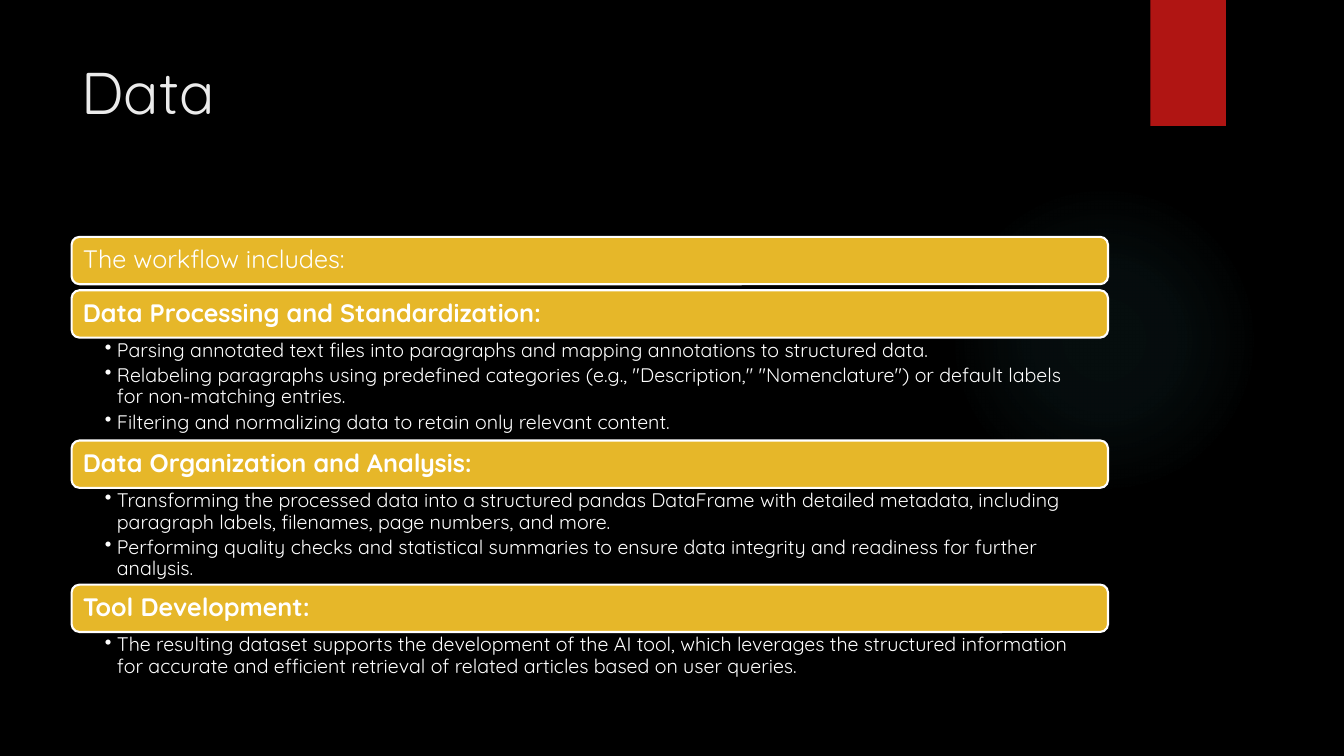
import dataclasses

import pptx
import pptx.dml.color
import pptx.enum.shapes
import pptx.enum.text
import pptx.oxml
import pptx.oxml.ns
import pptx.util
from pptx.util import Inches

RGBColor = pptx.dml.color.RGBColor
ANCHOR = pptx.enum.text.MSO_ANCHOR
SHAPE = pptx.enum.shapes.MSO_SHAPE

BLACK = RGBColor(0x00, 0x00, 0x00)
WHITE = RGBColor(0xFF, 0xFF, 0xFF)
TITLE_GREY = RGBColor(0xEB, 0xEB, 0xEB)
RED = RGBColor(0xB0, 0x15, 0x13)
GOLD = RGBColor(0xE6, 0xB7, 0x29)
TEAL = RGBColor(0x50, 0xB9, 0xC1)
FONT = "Quicksand"

LEFT, WIDTH = 0.71, 10.28
FIRST_TOP = 2.35
BAR_HEIGHT = 0.47
BODY_INSETS = (0.33, 0.03, 0.14, 0.03)
BAR_INSETS = (0.09, 0.07, 0.09, 0.07)
BULLET_INDENT = 0.12


@dataclasses.dataclass(frozen=True)
class Section:
    heading: str
    body_height: float
    bullets: tuple[str, ...] = ()
    bold: bool = True


SECTIONS = (
    Section("The workflow includes:", 0.06, bold=False),
    Section("Data Processing and Standardization:", 1.02, (
        "Parsing annotated text files into paragraphs and mapping annotations to structured data.",
        'Relabeling paragraphs using predefined categories (e.g., "Description," "Nomenclature") '
        "or default labels for non-matching entries.",
        "Filtering and normalizing data to retain only relevant content.",
    )),
    Section("Data Organization and Analysis:", 0.96, (
        "Transforming the processed data into a structured pandas DataFrame with detailed metadata, "
        "including paragraph labels, filenames, page numbers, and more.",
        "Performing quality checks and statistical summaries to ensure data integrity and readiness "
        "for further analysis.",
    )),
    Section("Tool Development:", 0.49, (
        "The resulting dataset supports the development of the AI tool, which leverages the "
        "structured information for accurate and efficient retrieval of related articles based on "
        "user queries.",
    )),
)


def add_bullet(paragraph) -> None:
    properties = paragraph._p.get_or_add_pPr()
    indent = Inches(BULLET_INDENT)
    properties.set("marL", str(indent))
    properties.set("indent", str(-indent))
    properties.append(pptx.oxml.parse_xml(
        f'<a:buChar {pptx.oxml.ns.nsdecls("a")} char="•"/>'))


def write_text(shape, *texts: str, size: float, color: RGBColor = WHITE, bold: bool = False,
               insets: tuple = (0.1, 0.05, 0.1, 0.05), anchor=ANCHOR.TOP,
               line_spacing: float = 0.9, space_after: float = 0, bulleted: bool = False) -> None:
    frame = shape.text_frame
    frame.word_wrap = True
    frame.auto_size = pptx.enum.text.MSO_AUTO_SIZE.NONE
    frame.vertical_anchor = anchor
    (frame.margin_left, frame.margin_top,
     frame.margin_right, frame.margin_bottom) = map(Inches, insets)
    for index, text in enumerate(texts):
        paragraph = frame.add_paragraph() if index else frame.paragraphs[0]
        paragraph.alignment = pptx.enum.text.PP_ALIGN.LEFT
        paragraph.line_spacing = line_spacing
        paragraph.space_after = pptx.util.Pt(space_after)
        if bulleted:
            add_bullet(paragraph)
        run = paragraph.add_run()
        run.text = text
        run.font.name = FONT
        run.font.size = pptx.util.Pt(size)
        run.font.bold = bold
        run.font.color.rgb = color


def add_block(slide, kind, left: float, top: float, width: float, height: float, fill: RGBColor):
    """Add a flat preset shape without outline."""
    shape = slide.shapes.add_shape(kind, *map(Inches, (left, top, width, height)))
    shape.shadow.inherit = False
    shape.fill.solid()
    shape.fill.fore_color.rgb = fill
    shape.line.fill.background()
    return shape


def add_glow(slide) -> None:
    glow = add_block(slide, SHAPE.OVAL, 9.41, 1.83, 3.08, 3.08, TEAL)
    stops = "".join(
        f'<a:gs pos="{position * 1000}"><a:srgbClr val="{TEAL}">'
        f'<a:alpha val="{opacity * 1000}"/></a:srgbClr></a:gs>'
        for position, opacity in ((0, 7), (36, 6), (69, 0)))
    gradient = pptx.oxml.parse_xml(
        f'<a:gradFill {pptx.oxml.ns.nsdecls("a")}><a:gsLst>{stops}</a:gsLst><a:path path="circle">'
        '<a:fillToRect l="50000" t="50000" r="50000" b="50000"/></a:path></a:gradFill>')
    properties = glow._element.spPr
    properties.replace(properties.find(pptx.oxml.ns.qn("a:solidFill")), gradient)


def add_section(slide, section: Section, top: float) -> float:
    """Draw a heading bar with its bullets and return the top of the next section."""
    bar = add_block(slide, SHAPE.ROUNDED_RECTANGLE, LEFT, top, WIDTH, BAR_HEIGHT, GOLD)
    bar.line.color.rgb = WHITE
    bar.line.width = pptx.util.Pt(1.5)
    write_text(bar, section.heading, size=18, bold=section.bold,
               insets=BAR_INSETS, anchor=ANCHOR.MIDDLE)
    body_top = top + BAR_HEIGHT
    if section.bullets:
        body = slide.shapes.add_textbox(
            *map(Inches, (LEFT, body_top, WIDTH, section.body_height)))
        write_text(body, *section.bullets, size=14, insets=BODY_INSETS,
                   space_after=2.8, bulleted=True)
    return body_top + section.body_height


def main() -> None:
    presentation = pptx.Presentation()
    presentation.slide_width = Inches(13.33)
    presentation.slide_height = Inches(7.5)
    slide = presentation.slides.add_slide(presentation.slide_layouts.get_by_name("Title Only"))
    slide.background.fill.solid()
    slide.background.fill.fore_color.rgb = BLACK

    add_glow(slide)
    add_block(slide, SHAPE.RECTANGLE, 11.41, 0, 0.75, 1.25, RED)

    title = slide.shapes.title
    title.left, title.top, title.width, title.height = map(Inches, (LEFT, 0.5, 10.29, 1.53))
    write_text(title, "Data", size=42, color=TITLE_GREY, line_spacing=1.0)

    top = FIRST_TOP
    for section in SECTIONS:
        top = add_section(slide, section, top)

    presentation.save("out.pptx")


if __name__ == "__main__":
    main()
